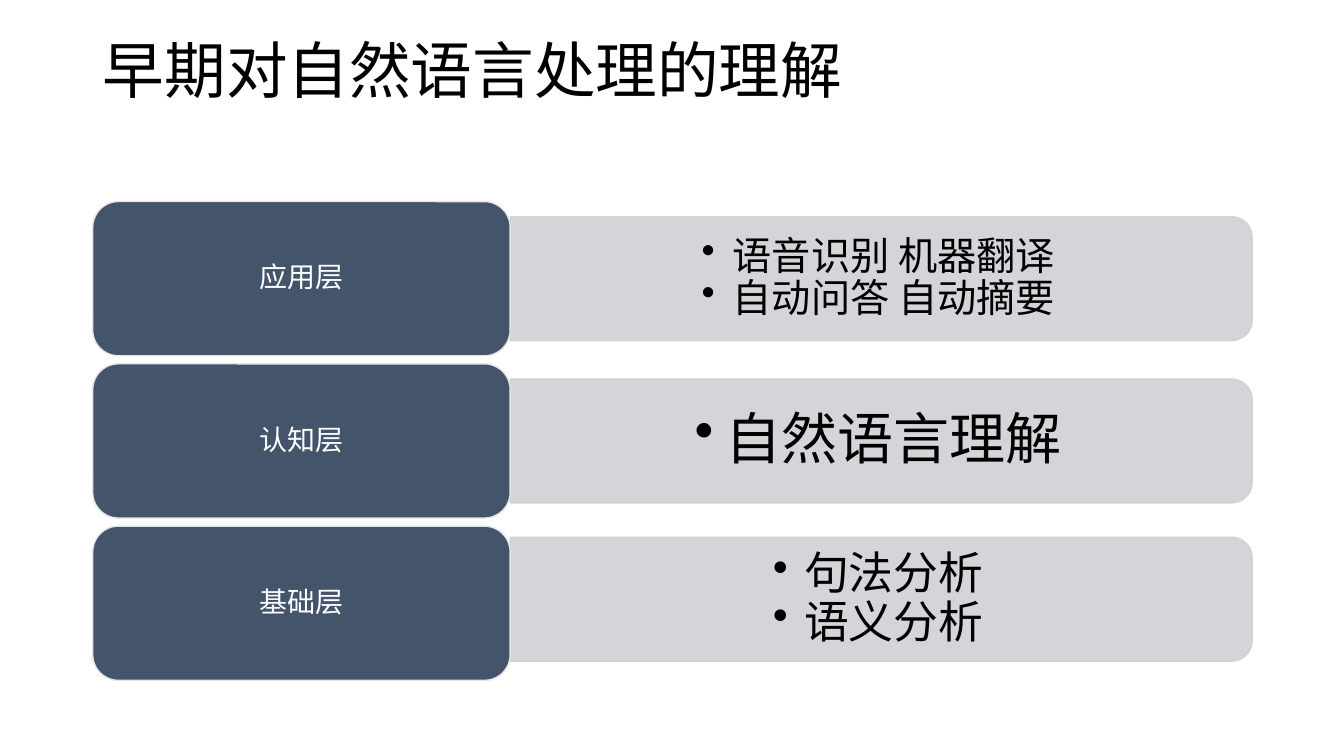
import lxml.etree
import pptx
import pptx.dml.color
import pptx.enum.shapes
import pptx.enum.text
import pptx.oxml.ns
import pptx.util

Inches = pptx.util.Inches
Pt = pptx.util.Pt
qn = pptx.oxml.ns.qn
MSO_SHAPE = pptx.enum.shapes.MSO_SHAPE
MSO_ANCHOR = pptx.enum.text.MSO_ANCHOR
PP_ALIGN = pptx.enum.text.PP_ALIGN

COLORS = {"text": "000000", "label": "44546A", "label_text": "FFFFFF",
          "label_edge": "E7E6E6", "bar": "CFD1D4"}
TITLE_FONT = "Calibri"
LAYER_FONT = "Noto Sans CJK SC"
LAYERS = [
    ("应用层", ["语音识别 机器翻译", "自动问答 自动摘要"], 28, 0),
    ("认知层", ["自然语言理解"], 40, 0),
    ("基础层", ["句法分析", "语义分析"], 32, 0.04),
]
LEFT, TOP, WIDTH = 0.92, 2, 11.5
ROW_HEIGHT, ROW_PITCH = 1.53, 1.61
LABEL_WIDTH, BAR_HEIGHT = 4.14, 1.23


def rgb(name):
    """Return the named palette colour."""
    return pptx.dml.color.RGBColor.from_string(COLORS[name])


def paint(shape, fill, edge):
    """Give a shape a flat fill and a thin outline."""
    shape.shadow.inherit = False
    shape.fill.solid()
    shape.fill.fore_color.rgb = rgb(fill)
    shape.line.color.rgb = rgb(edge)
    shape.line.width = Pt(1)


def set_frame(frame, margin_x, margin_y, anchor):
    """Set wrapping, insets and vertical anchor of a text frame."""
    frame.word_wrap = True
    frame.auto_size = pptx.enum.text.MSO_AUTO_SIZE.NONE
    frame.vertical_anchor = anchor
    frame.margin_left = frame.margin_right = Inches(margin_x)
    frame.margin_top = frame.margin_bottom = Inches(margin_y)


def write(paragraph, text, size, color, font, align):
    """Fill a paragraph with formatted text."""
    paragraph.text = text
    paragraph.alignment = align
    paragraph.line_spacing = 0.9
    paragraph.font.size = Pt(size)
    paragraph.font.name = font
    paragraph.font.color.rgb = rgb(color)


def add_bullet(paragraph):
    """Give a paragraph a hanging round bullet."""
    paragraph.level = 1
    properties = paragraph._p.get_or_add_pPr()
    properties.set("marL", str(Inches(0.31)))
    properties.set("indent", str(Inches(-0.31)))
    bullet = lxml.etree.Element(qn("a:buChar"), char="•")
    properties.insert_element_before(bullet, "a:tabLst", "a:defRPr", "a:extLst")


def add_title(slide, left, top, width, height):
    """Place the slide title in its box."""
    title = slide.shapes.title
    title.left, title.top = Inches(left), Inches(top)
    title.width, title.height = Inches(width), Inches(height)
    set_frame(title.text_frame, 0.1, 0, MSO_ANCHOR.TOP)
    write(title.text_frame.paragraphs[0], "早期对自然语言处理的理解",
          44, "text", TITLE_FONT, PP_ALIGN.LEFT)


def add_bar(slide, left, top, width, height):
    """Draw a translucent bar whose right corners are rounded."""
    center_x, center_y = left + width / 2, top + height / 2
    bar = slide.shapes.add_shape(
        MSO_SHAPE.ROUND_2_SAME_RECTANGLE,
        Inches(center_x - height / 2), Inches(center_y - width / 2),
        Inches(height), Inches(width))
    bar.rotation = 90
    paint(bar, "bar", "bar")
    for color in bar._element.spPr.iter(qn("a:srgbClr")):
        lxml.etree.SubElement(color, qn("a:alpha"), val="90000")


def add_tasks(slide, tasks, size, left, top, width, height):
    """Write the bulleted tasks of a layer."""
    box = slide.shapes.add_textbox(
        Inches(left), Inches(top), Inches(width), Inches(height))
    frame = box.text_frame
    set_frame(frame, 0.27, 0.14, MSO_ANCHOR.MIDDLE)
    for index, task in enumerate(tasks):
        paragraph = frame.add_paragraph() if index else frame.paragraphs[0]
        write(paragraph, task, size, "text", LAYER_FONT, PP_ALIGN.CENTER)
        add_bullet(paragraph)


def add_label(slide, name, left, top, width, height):
    """Draw the rounded block that names a layer."""
    label = slide.shapes.add_shape(
        MSO_SHAPE.ROUNDED_RECTANGLE,
        Inches(left), Inches(top), Inches(width), Inches(height))
    paint(label, "label", "label_edge")
    set_frame(label.text_frame, 0.08, 0.04, MSO_ANCHOR.MIDDLE)
    write(label.text_frame.paragraphs[0], name, 20, "label_text",
          LAYER_FONT, PP_ALIGN.CENTER)


def add_layer(slide, layer, left, top, width, height):
    """Place one layer: its bar, its tasks and its label."""
    name, tasks, size, lift = layer
    bar_left, bar_width = left + LABEL_WIDTH, width - LABEL_WIDTH
    bar_top = top + (height - BAR_HEIGHT) / 2 - lift
    add_bar(slide, bar_left, bar_top, bar_width, BAR_HEIGHT)
    add_tasks(slide, tasks, size, bar_left, bar_top + 0.06,
              bar_width - 0.06, BAR_HEIGHT - 0.12)
    add_label(slide, name, left, top, LABEL_WIDTH, height)


def main():
    """Build and save the presentation."""
    presentation = pptx.Presentation()
    presentation.slide_width = Inches(13.33)
    presentation.slide_height = Inches(7.5)
    slide = presentation.slides.add_slide(presentation.slide_layouts[5])
    add_title(slide, LEFT, 0.4, WIDTH, 1.45)
    for row, layer in enumerate(LAYERS):
        add_layer(slide, layer, LEFT, TOP + row * ROW_PITCH, WIDTH, ROW_HEIGHT)
    presentation.save("out.pptx")


if __name__ == "__main__":
    main()
